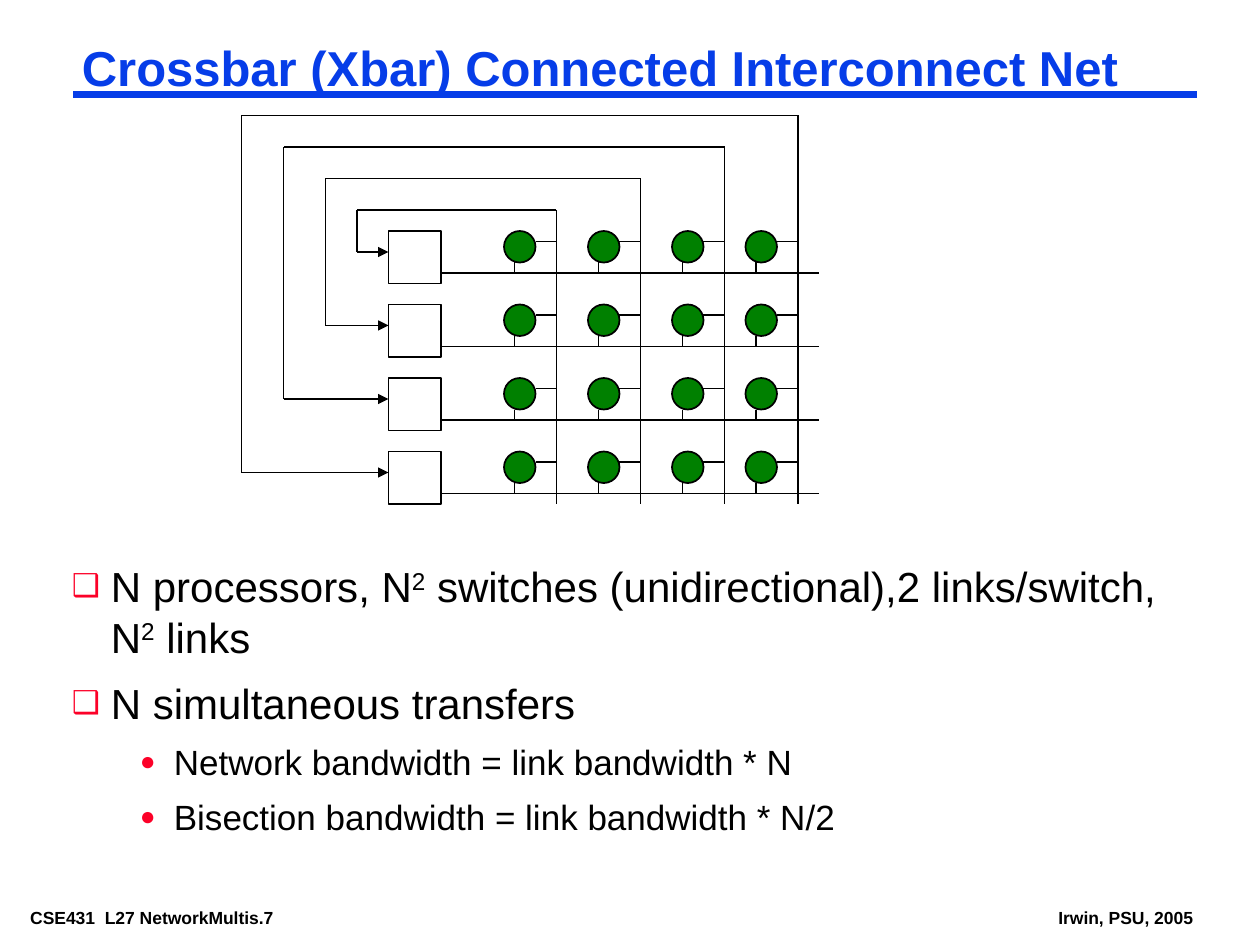
"""Build the crossbar interconnect network slide."""
import pptx
import pptx.dml.color
import pptx.enum.shapes
import pptx.enum.text
import pptx.oxml
import pptx.oxml.ns
import pptx.util

RGBColor = pptx.dml.color.RGBColor
SHAPE = pptx.enum.shapes.MSO_SHAPE
Inches, Pt = pptx.util.Inches, pptx.util.Pt

BLUE = RGBColor(0x06, 0x3D, 0xE8)
RED = RGBColor(0xFC, 0x01, 0x28)
GREEN = RGBColor(0x00, 0x80, 0x00)
BLACK = RGBColor(0x00, 0x00, 0x00)

TITLE = "Crossbar (Xbar) Connected Interconnect Net"
POINTS = [
    (0, "N processors, N^2^ switches (unidirectional),2 links/switch, N^2^ links"),
    (0, "N simultaneous transfers"),
    (1, "Network bandwidth = link bandwidth * N"),
    (1, "Bisection bandwidth = link bandwidth * N/2"),
]
LEVELS = [
    dict(size=24, before=9, bullet="❑", margin=0.31, hang=0.31),
    dict(size=20, before=7.5, bullet="●", margin=0.81, hang=0.27),
]
FOOTERS = [("CSE431  L27 NetworkMultis.7", 0.17, 2.66), ("Irwin, PSU, 2005", 8.33, 1.3)]

# Crossbar positions count cells of a twelfth of an inch.
CELL = 1 / 12
ROW_TOP, ROW_STEP = 22, 7
PROCESSOR_LEFT, PROCESSOR_SIZE, SWITCH_SIZE = 37, 5, 3
ROW_END, COLUMN_TOP, COLUMN_END = 78, 20, 48
# Each column: wire x, feedback loop x, feedback loop top.
COLUMNS = [(53, 34, 20), (61, 31, 17), (69, 27, 14), (76, 23, 11)]


def add_text(frame, text, size=10, bold=False, color=BLACK, level=0,
             before=0, spacing=None, bullet=None, margin=0, hang=0):
    """Write one paragraph; text between carets is raised."""
    paragraph = frame.paragraphs[0]
    if paragraph.runs:
        paragraph = frame.add_paragraph()
    paragraph.alignment = pptx.enum.text.PP_ALIGN.LEFT
    paragraph.level = level
    paragraph.space_before = Pt(before)
    if spacing:
        paragraph.line_spacing = spacing
    if bullet:
        props = paragraph._p.get_or_add_pPr()
        props.set("marL", str(Inches(margin)))
        props.set("indent", str(-Inches(hang)))
        ns = pptx.oxml.ns.nsdecls("a")
        for xml in (f'<a:buClr {ns}><a:srgbClr val="{RED}"/></a:buClr>',
                    f'<a:buSzPct {ns} val="75000"/>',
                    f'<a:buFont {ns} typeface="Arial"/>',
                    f'<a:buChar {ns} char="{bullet}"/>'):
            props.append(pptx.oxml.parse_xml(xml))
    for index, part in enumerate(text.split("^")):
        run = paragraph.add_run()
        run.text = part
        run.font.name = "Arial"
        run.font.size = Pt(size)
        run.font.bold = bold
        run.font.color.rgb = color
        if index % 2:
            run._r.get_or_add_rPr().set("baseline", "30000")


def prepare_frame(box):
    """Set a text frame's insets, wrapping and anchor."""
    frame = box.text_frame
    frame.word_wrap = True
    frame.auto_size = pptx.enum.text.MSO_AUTO_SIZE.NONE
    frame.vertical_anchor = pptx.enum.text.MSO_ANCHOR.TOP
    frame.margin_left = frame.margin_right = Inches(0.07)
    frame.margin_top = frame.margin_bottom = Inches(0.03)
    return frame


def add_line(slide, start, end, color=BLACK, width=1, unit=CELL, arrow=False):
    """Draw a straight line between two points."""
    ends = [Inches(value * unit) for value in (*start, *end)]
    line = slide.shapes.add_connector(pptx.enum.shapes.MSO_CONNECTOR.STRAIGHT, *ends)
    line.line.color.rgb = color
    line.line.width = Pt(width)
    ns = pptx.oxml.ns.nsdecls("a")
    if arrow:
        line.line._get_or_add_ln().append(
            pptx.oxml.parse_xml(f'<a:tailEnd {ns} type="triangle"/>'))
    line._element.spPr.append(pptx.oxml.parse_xml(f"<a:effectLst {ns}/>"))


def add_node(slide, kind, left, top, size, fill=None):
    """Draw a processor or a switch."""
    box = [Inches(value * CELL) for value in (left, top, size, size)]
    node = slide.shapes.add_shape(kind, *box)
    node.shadow.inherit = False
    if fill is None:
        node.fill.background()
    else:
        node.fill.solid()
        node.fill.fore_color.rgb = fill
    node.line.color.rgb = BLACK
    node.line.width = Pt(1)


def add_crossbar(slide):
    """Draw processors, switches, wires and feedback loops."""
    tops = [ROW_TOP + ROW_STEP * row for row in range(len(COLUMNS))]
    for top in tops:
        wire_y = top + 4
        add_node(slide, SHAPE.RECTANGLE, PROCESSOR_LEFT, top, PROCESSOR_SIZE)
        add_line(slide, (PROCESSOR_LEFT + PROCESSOR_SIZE, wire_y), (ROW_END, wire_y))
        for wire_x, _, _ in COLUMNS:
            add_node(slide, SHAPE.OVAL, wire_x - 5, top, SWITCH_SIZE, GREEN)
            add_line(slide, (wire_x - 2, top + 1), (wire_x, top + 1))
            add_line(slide, (wire_x - 4, top + SWITCH_SIZE), (wire_x - 4, wire_y))
    for top, (wire_x, loop_x, loop_top) in zip(tops, COLUMNS):
        entry_y = top + 2
        add_line(slide, (wire_x, COLUMN_TOP), (wire_x, COLUMN_END))
        if loop_top < COLUMN_TOP:
            add_line(slide, (wire_x, COLUMN_TOP), (wire_x, loop_top))
        add_line(slide, (wire_x, loop_top), (loop_x, loop_top))
        add_line(slide, (loop_x, loop_top), (loop_x, entry_y))
        add_line(slide, (loop_x, entry_y), (PROCESSOR_LEFT, entry_y), arrow=True)


def main():
    """Assemble and save the slide."""
    deck = pptx.Presentation()
    deck.slide_width, deck.slide_height = Inches(10), Inches(7.5)
    slide = deck.slides.add_slide(deck.slide_layouts[5])

    for text, left, width in FOOTERS:
        footer = slide.shapes.add_textbox(
            Inches(left), Inches(7.17), Inches(width), Inches(0.22))
        add_text(prepare_frame(footer), text, bold=True)

    add_line(slide, (0.58, 0.75), (9.5, 0.75), color=BLUE, width=4.5, unit=1)
    title = slide.shapes.title
    title.left, title.top = Inches(0.58), Inches(0.33)
    title.width, title.height = Inches(8.92), Inches(0.46)
    add_text(prepare_frame(title), TITLE, size=28, bold=True, color=BLUE, spacing=0.87)

    points = slide.shapes.add_textbox(
        Inches(0.5), Inches(4.42), Inches(8.96), Inches(2.26))
    points_frame = prepare_frame(points)
    for level, text in POINTS:
        add_text(points_frame, text, level=level, **LEVELS[level])

    add_crossbar(slide)
    deck.save("out.pptx")


if __name__ == "__main__":
    main()
